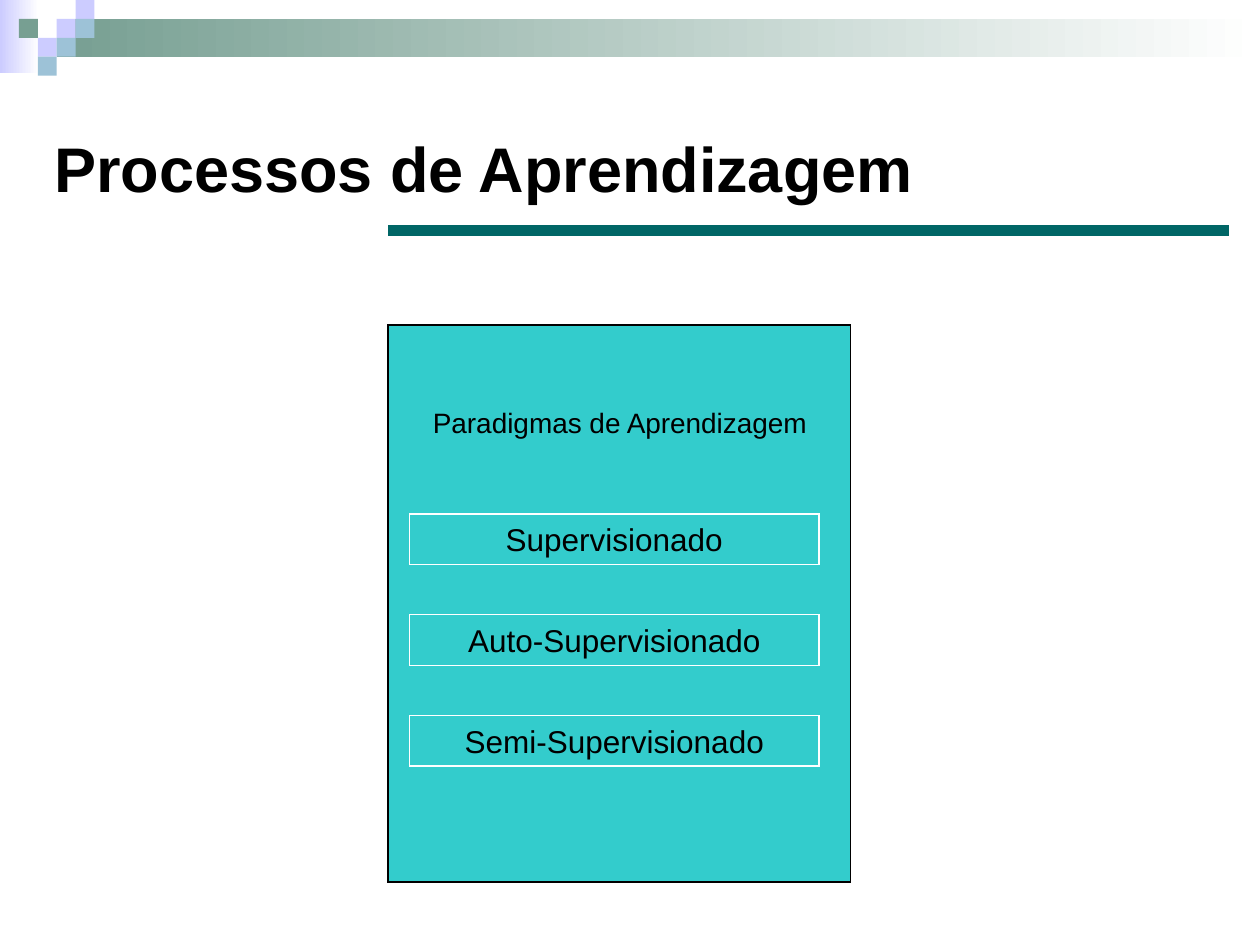
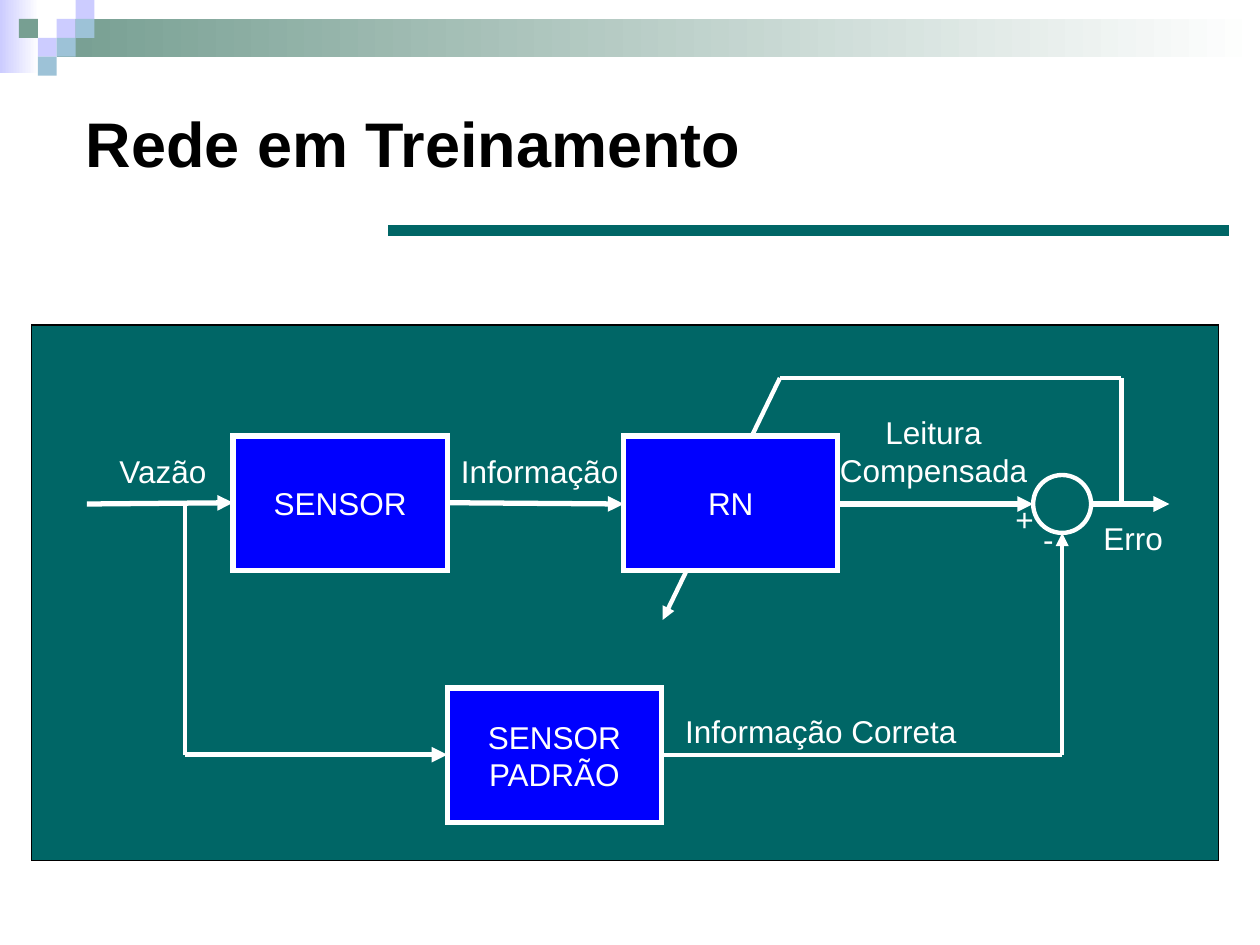
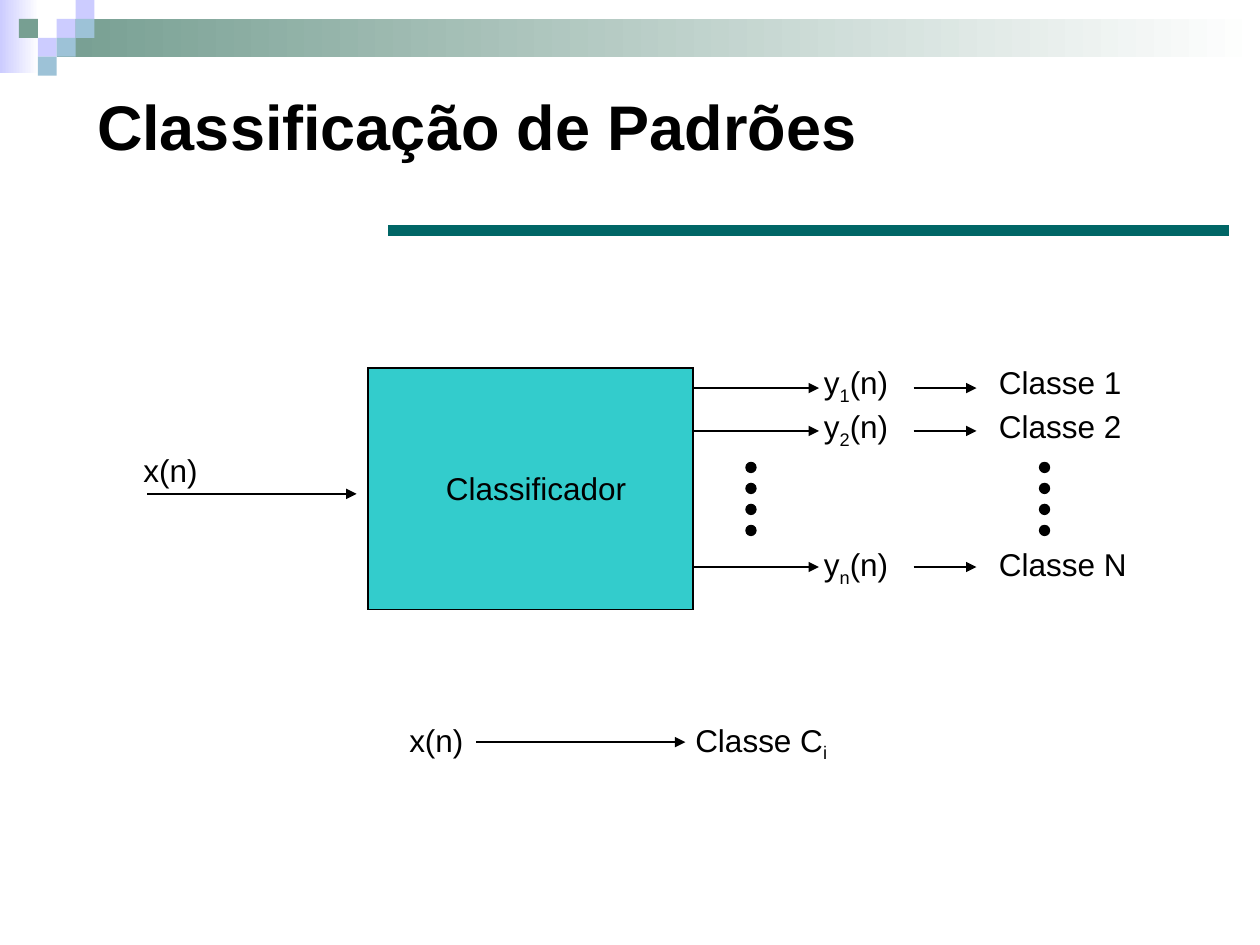
"""Build three slides on learning processes in neural networks."""
from dataclasses import dataclass

from lxml import etree
from pptx import Presentation
from pptx import util as u
from pptx.dml.color import RGBColor
from pptx.enum import shapes, text
from pptx.oxml.ns import qn

FONT = "Arial"
COLORS = {
    "black": "000000",
    "white": "FFFFFF",
    "teal": "006666",
    "turquoise": "33CCCC",
    "blue": "0000FF",
    "lavender": "CCCCFF",
    "sage": "779F92",
    "sky": "9DC2D7",
}
SQUARE = 0.15
MOSAIC = [
    (3, 1, "lavender"), (4, 0, "lavender"), (4, 1, "sky"), (2, 2, "lavender"),
    (1, 1, "sage"), (3, 2, "sky"), (2, 3, "sky"),
]
LEFT, CENTER = text.PP_ALIGN.LEFT, text.PP_ALIGN.CENTER
RECT, OVAL = shapes.MSO_SHAPE.RECTANGLE, shapes.MSO_SHAPE.OVAL


@dataclass
class Block:
    """A preset shape, with centred text if any."""
    left: float
    top: float
    width: float
    height: float
    fill: str | None = None
    line: str | None = None
    weight: float = 0.75
    text: str = ""
    color: str = "black"
    kind: shapes.MSO_SHAPE = RECT
    fade: bool = False


@dataclass
class Label:
    """A text box; odd parts between bars are subscripts."""
    text: str
    left: float
    top: float
    width: float
    height: float = 0.4
    size: float = 18
    align: text.PP_ALIGN = LEFT
    color: str = "black"


@dataclass
class Wire:
    """A straight line, with an arrowhead at its end if asked."""
    x1: float
    y1: float
    x2: float
    y2: float
    color: str = "black"
    weight: float = 0.75
    arrow: bool = True


def rgb(name: str) -> RGBColor:
    """Return the named colour."""
    return RGBColor.from_string(COLORS[name])


def inches(*values: float) -> list[u.Length]:
    """Convert numbers to lengths."""
    return [u.Inches(v) for v in values]


def style_run(r, size: float, color: str, bold: bool = False) -> None:
    """Set the font of a run."""
    r.font.name = FONT
    r.font.size = u.Pt(size)
    r.font.bold = bold
    r.font.color.rgb = rgb(color)


def draw_block(s, b: Block) -> None:
    """Draw a block."""
    sp = s.shapes.add_shape(b.kind, *inches(b.left, b.top, b.width, b.height))
    sp.shadow.inherit = False
    if b.fade:
        sp.fill.gradient()
        sp.fill.gradient_angle = 0
        for stop, name in zip(sp.fill.gradient_stops, (b.fill, "white")):
            stop.color.rgb = rgb(name)
    elif b.fill:
        sp.fill.solid()
        sp.fill.fore_color.rgb = rgb(b.fill)
    else:
        sp.fill.background()
    if b.line:
        sp.line.color.rgb = rgb(b.line)
        sp.line.width = u.Pt(b.weight)
        etree.SubElement(sp.get_or_add_ln(), qn("a:miter"), lim="800000")
    else:
        sp.line.fill.background()
    if b.text:
        tf = sp.text_frame
        tf.text = b.text
        tf.word_wrap = True
        for p in tf.paragraphs:
            p.alignment = CENTER
            for r in p.runs:
                style_run(r, 18, b.color)


def draw_label(s, lb: Label) -> None:
    """Draw a label."""
    sp = s.shapes.add_textbox(*inches(lb.left, lb.top, lb.width, lb.height))
    tf = sp.text_frame
    tf.word_wrap = True
    tf.auto_size = text.MSO_AUTO_SIZE.SHAPE_TO_FIT_TEXT
    for i, line in enumerate(lb.text.split("\n")):
        p = tf.add_paragraph() if i else tf.paragraphs[0]
        p.alignment = lb.align
        for j, part in enumerate(line.split("|")):
            if not part:
                continue
            r = p.add_run()
            r.text = part
            style_run(r, lb.size, lb.color)
            if j % 2:
                r._r.get_or_add_rPr().set("baseline", "-25000")


def draw_wire(s, w: Wire) -> None:
    """Draw a wire."""
    c = s.shapes.add_connector(
        shapes.MSO_CONNECTOR.STRAIGHT, *inches(w.x1, w.y1, w.x2, w.y2))
    c.line.color.rgb = rgb(w.color)
    c.line.width = u.Pt(w.weight)
    if w.arrow:
        etree.SubElement(c.get_or_add_ln(), qn("a:tailEnd"), type="triangle")
    etree.SubElement(c.element.spPr, qn("a:effectLst"))


def draw(s, items: list[Block | Label | Wire]) -> None:
    """Draw items from back to front."""
    drawers = {Block: draw_block, Label: draw_label, Wire: draw_wire}
    for item in items:
        drawers[type(item)](s, item)


def add_slide(prs, title: str, left: float, top: float, width: float, height: float):
    """Add a slide with the shared band, title and rule."""
    s = prs.slides.add_slide(prs.slide_layouts[5])
    sp = s.shapes.title
    sp.left, sp.top, sp.width, sp.height = inches(left, top, width, height)
    tf = sp.text_frame
    tf.text = title
    tf.word_wrap = True
    tf.auto_size = text.MSO_AUTO_SIZE.NONE
    tf.vertical_anchor = text.MSO_ANCHOR.MIDDLE
    p = tf.paragraphs[0]
    p.alignment = LEFT
    style_run(p.runs[0], 36, "black", bold=True)
    draw(s, [
        Block(0, 0, 0.31, 0.58, "lavender", fade=True),
        Block(0.45, 0.15, 9.55, 0.3, "sage", fade=True),
        *(Block(col * SQUARE, row * SQUARE, SQUARE, SQUARE, name)
          for col, row, name in MOSAIC),
        Wire(3.08, 1.83, 9.75, 1.83, "teal", 6, arrow=False),
    ])
    return s


def add_paradigms(prs) -> None:
    """Add the slide on learning paradigms."""
    s = add_slide(prs, "Processos de Aprendizagem", 0.33, 0.83, 9, 1)
    paradigms = ["Supervisionado", "Auto-Supervisionado", "Semi-Supervisionado"]
    draw(s, [
        Block(3.08, 2.58, 3.67, 4.42, "turquoise", "black"),
        Label("Paradigmas de Aprendizagem", 3.21, 3.17, 3.42, 0.37, 16, CENTER),
        *(Block(3.25, 4.08 + 0.8 * i, 3.25, 0.4, line="white", text=name)
          for i, name in enumerate(paradigms)),
    ])


def add_training(prs) -> None:
    """Add the slide on the network in training."""
    s = add_slide(prs, "Rede em Treinamento", 0.58, 0.67, 8.58, 0.92)
    thick, thin = 3, 2.5
    wires = [
        (6.19, 3, 5.26, 4.92, thin, True),
        (0.69, 4, 1.85, 3.99, thick, True),
        (3.55, 3.99, 4.95, 4, thick, True),
        (6.65, 4, 8.2, 4, thick, True),
        (1.47, 4, 1.47, 5.99, thin, False),
        (1.47, 5.99, 3.55, 5.99, thick, True),
        (5.26, 5.99, 8.43, 5.99, thin, False),
        (8.43, 5.99, 8.43, 4.23, thin, True),
        (8.66, 4, 9.28, 4, thick, True),
        (8.9, 3, 8.9, 4, thin, False),
        (6.19, 3, 8.9, 3, thin, False),
    ]
    stages = [("SENSOR", 1.85, 3.46), ("RN", 4.95, 3.46), ("SENSOR\nPADRÃO", 3.55, 5.46)]
    signals = [
        ("Vazão", 0.85, 3.54, 1),
        ("Informação", 3.56, 3.54, 1.55),
        ("+", 7.96, 3.92, 0.4),
        ("-", 8.18, 4.08, 0.35),
        ("Erro", 8.66, 4.07, 0.8),
        ("Informação Correta", 5.34, 5.6, 2.5),
    ]
    draw(s, [
        Block(0.25, 2.58, 9.42, 4.25, "teal", "black"),
        *(Wire(*ends, "white", weight, arrow) for *ends, weight, arrow in wires),
        *(Block(left, top, 1.7, 1.07, "blue", "white", thick, name, "white")
          for name, left, top in stages),
        Block(8.2, 3.77, 0.46, 0.46, line="white", weight=thin, kind=OVAL),
        *(Label(*signal, color="white") for signal in signals),
        Label("Leitura\nCompensada", 6.51, 3.23, 1.8, 0.7, align=CENTER, color="white"),
    ])


def add_classification(prs) -> None:
    """Add the slide on pattern classification."""
    s = add_slide(prs, "Classificação de Padrões", 0.67, 0.33, 8.58, 1.33)
    for index, name, y, top in [("1", "1", 3.08, 2.83), ("2", "2", 3.42, 3.18),
                                ("n", "N", 4.5, 4.28)]:
        draw(s, [
            Wire(4.83, y, 6.5, y),
            Wire(7.25, y, 7.75, y),
            Label(f"y|{index}|(n)", 6.44, top, 0.97, 0.44),
            Label(f"Classe {name}", 7.83, top, 1.33),
        ])
    draw(s, [
        Block(2.92, 2.92, 2.58, 1.92, "turquoise", "black"),
        Label("Classificador", 3.17, 3.67, 2.17, align=CENTER),
        Wire(1.17, 3.92, 2.83, 3.92),
        Label("x(n)", 1.04, 3.53, 0.67),
        *(Block(left, 3.67 + i / 6, 0.08, 0.08, "black", "black", kind=OVAL)
          for left in (5.92, 8.25) for i in range(4)),
        Wire(3.78, 5.89, 5.44, 5.89),
        Label("x(n)", 3.15, 5.67, 0.67),
        Label("Classe C|i|", 5.42, 5.67, 1.33, 0.44),
    ])


def main() -> None:
    """Build and save the presentation."""
    prs = Presentation()
    prs.slide_width, prs.slide_height = inches(10, 7.5)
    add_paradigms(prs)
    add_training(prs)
    add_classification(prs)
    prs.save("out.pptx")


if __name__ == "__main__":
    main()
